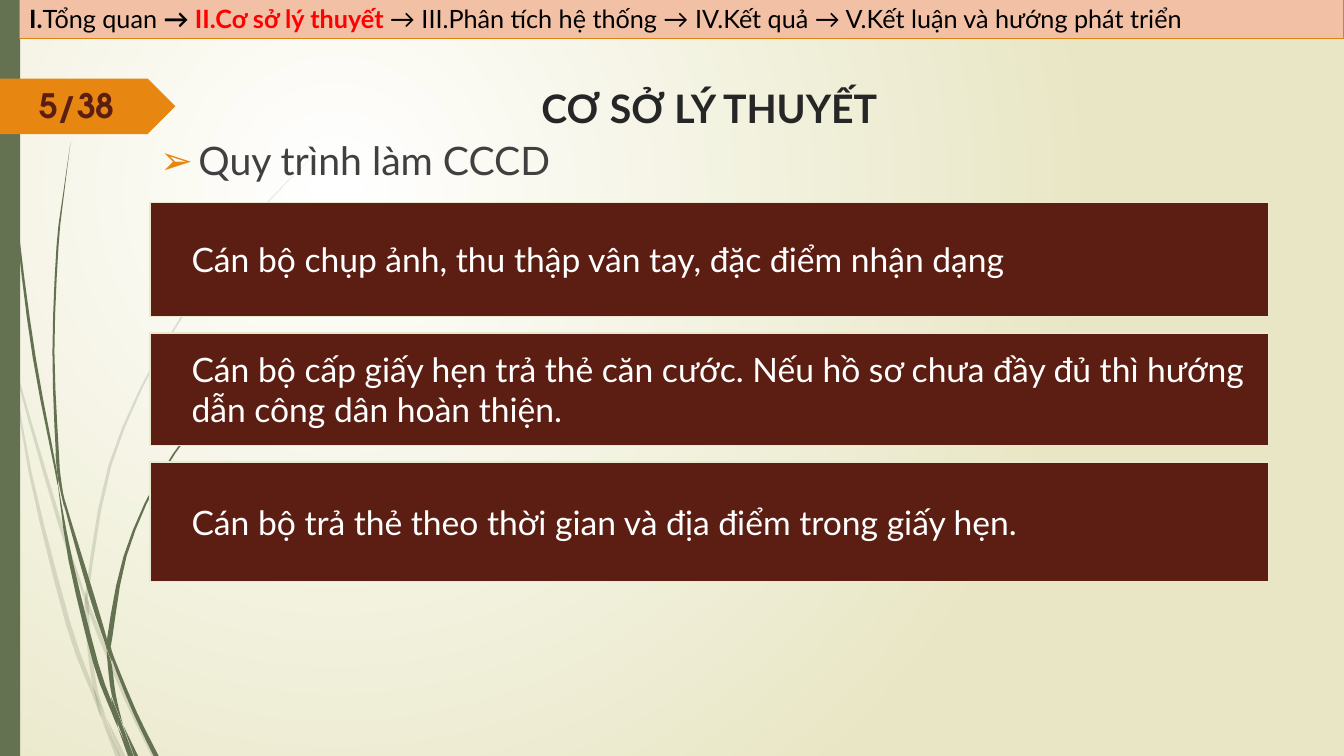
from lxml import etree
from pptx import Presentation
from pptx.dml.color import RGBColor
from pptx.enum.shapes import MSO_SHAPE
from pptx.enum.text import MSO_ANCHOR, PP_ALIGN
from pptx.oxml.ns import qn
from pptx.util import Inches, Pt

RECT, PENTAGON = MSO_SHAPE.RECTANGLE, MSO_SHAPE.PENTAGON
TOP, MIDDLE = MSO_ANCHOR.TOP, MSO_ANCHOR.MIDDLE
LEFT, CENTER, JUSTIFY = PP_ALIGN.LEFT, PP_ALIGN.CENTER, PP_ALIGN.JUSTIFY

WIDTH, HEIGHT = 13.33, 7.5
GREEN, ORANGE, BROWN = "647252", "E78712", "5C1E13"
BLACK, WHITE, RED = "000000", "FFFFFF", "FF0000"
BODY_FONT, NUMBER_FONT = "Lato", "TeX Gyre Adventor"

# Each run: text, colour, bold
BREADCRUMB = [
    ("I.", BLACK, True),
    ("Tổng quan ", BLACK, False),
    ("→ ", BLACK, True),
    ("II.Cơ sở lý thuyết ", RED, True),
    ("→ III.Phân tích hệ thống → IV.Kết quả → V.Kết luận và hướng phát triển",
     BLACK, False),
]
PAGE_NUMBER = [("5/38", BROWN, True)]
TITLE = [("CƠ SỞ LÝ THUYẾT", "262626", True)]
SUBTITLE = [("Quy trình làm CCCD", "404040", False)]

# Each step: text, top, height
STEPS = [
    ("Cán bộ chụp ảnh, thu thập vân tay, đặc điểm nhận dạng", 2.01, 1.13),
    ("Cán bộ cấp giấy hẹn trả thẻ căn cước. Nếu hồ sơ chưa đầy đủ thì hướng "
     "dẫn công dân hoàn thiện.", 3.3, 1.12),
    ("Cán bộ trả thẻ theo thời gian và địa điểm trong giấy hẹn.", 4.58, 1.19),
]
STEP_LEFT, STEP_WIDTH = 1.49, 11.09

# Each piece of grass: points of its middle line with its width there
PALE_GRASS = [
    [(0, 2.9, .04), (.09, 3.33, .02), (.11, 3.5, 0)],
    [(.14, 3.45, 0), (.18, 3.76, .02), (.6, 5.21, .04), (.84, 5.92, .02),
     (.84, 5.99, 0)],
    [(.88, 5.96, 0), (.9, 6.08, .04), (1.25, 6.93, .04), (1.53, 7.5, .05)],
    [(1.05, 7.11, 0), (1.22, 7.5, .05)],
    [(.11, 3.5, 0), (.3, 4.69, .03), (.68, 6.2, .05), (.93, 6.88, .04),
     (1.01, 7.14, 0)],
    [(.84, 5.99, 0), (.86, 6.08, .04), (.89, 6.46, .04), (.95, 6.85, .04),
     (1.05, 7.11, 0)],
    [(3.12, 1.53, 0), (2.68, 1.98, .01), (2.29, 2.45, .02), (1.59, 3.49, .02),
     (1.09, 4.62, .03), (.87, 5.84, .03), (.88, 5.96, 0)],
    [(1.01, 7.14, 0), (1.17, 7.5, .05)],
    [(.85, 5.86, 0), (.86, 5.98, .04), (.88, 6.1, 0)],
    [(.93, 6.83, 0), (1.01, 7.08, .04), (1.19, 7.5, .01)],
]
DARK_GRASS = [
    [(.03, 0, .01), (.07, 1.1, .01), (.18, 2.33, .02), (.34, 3.55, .03),
     (.55, 4.65, .02), (.57, 4.81, 0)],
    [(.6, 4.72, 0), (.63, 4.95, .02), (.91, 5.91, .05), (1.05, 6.36, .03),
     (1.06, 6.45, 0)],
    [(1.1, 6.41, 0), (1.12, 6.53, .03), (1.34, 7.07, .04), (1.55, 7.5, .05)],
    [(.57, 4.77, 0), (.7, 5.56, .04), (.95, 6.58, .05), (1.12, 7.05, .04),
     (1.17, 7.22, 0)],
    [(.7, 1.41, 0), (.63, 1.93, .01), (.57, 2.45, .02), (.53, 3.49, .02),
     (.57, 4.51, .03), (.6, 4.72, 0)],
    [(1.22, 7.19, 0), (1.35, 7.5, .04)],
    [(.55, 4.49, 0), (.59, 4.75, .03), (.64, 5.05, 0)],
    [(2.6, 3.44, 0), (2.31, 3.74, .01), (2.05, 4.06, .02), (1.57, 4.75, .02),
     (1.24, 5.52, .03), (1.09, 6.32, .05), (1.1, 6.41, 0)],
    [(1.17, 7.22, 0), (1.29, 7.5, .04)],
    [(1.06, 6.45, 0), (1.09, 6.6, .04), (1.13, 6.9, .04), (1.22, 7.19, 0)],
    [(1.06, 6.31, 0), (1.08, 6.43, .04), (1.11, 6.56, 0)],
    [(1.1, 6.91, 0), (1.17, 7.13, .04), (1.31, 7.5, .03)],
]


def rgb(value):
    return RGBColor.from_string(value)


def style(s, fill, line=None, line_width=1):
    s.shadow.inherit = False
    s.fill.solid()
    s.fill.fore_color.rgb = rgb(fill)
    if line:
        s.line.color.rgb = rgb(line)
        s.line.width = Pt(line_width)
    else:
        s.line.fill.background()


def write(s, runs, size, font=BODY_FONT, align=LEFT, anchor=TOP):
    tf = s.text_frame
    tf.word_wrap = True
    tf.vertical_anchor = anchor
    p = tf.paragraphs[0]
    p.alignment = align
    for text, color, bold in runs:
        r = p.add_run()
        r.text = text
        r.font.name, r.font.size, r.font.bold = font, Pt(size), bold
        r.font.color.rgb = rgb(color)
    return p


def add_box(kind, left, top, width, height, *look):
    s = shapes.add_shape(kind, *map(Inches, (left, top, width, height)))
    style(s, *look)
    return s


def add_text(left, top, width, height, *text, **options):
    s = shapes.add_textbox(*map(Inches, (left, top, width, height)))
    return write(s, *text, **options)


def smooth(points, steps=3):
    """Return points on a Catmull-Rom curve through the given points."""
    padded = [points[0], *points, points[-1]]
    curve = []
    for a, b, c, d in zip(padded, padded[1:], padded[2:], padded[3:]):
        for i in range(steps):
            t = i / steps
            curve.append([
                q + t / 2 * (r - p + t * (2 * p - 5 * q + 4 * r - s
                                          + t * (3 * (q - r) + s - p)))
                for p, q, r, s in zip(a, b, c, d)])
    return curve + [points[-1]]


def add_grass(points, opacity):
    curve = smooth(points)
    outline = [(x - w / 2, y) for x, y, w in curve]
    outline += [(x + w / 2, y) for x, y, w in reversed(curve)]
    outline = [(Inches(x), Inches(y)) for x, y in outline]
    builder = shapes.build_freeform(*outline[0])
    builder.add_line_segments(outline[1:], close=True)
    s = builder.convert_to_shape()
    style(s, GREEN)
    color = s.fill._xPr.find(qn("a:solidFill"))[0]
    etree.SubElement(color, qn("a:alpha"), val=str(opacity * 1000))


def add_bullet(p, char, color, indent):
    pPr = p._p.get_or_add_pPr()
    pPr.set("marL", str(Inches(indent)))
    pPr.set("indent", str(-Inches(indent)))
    bullet_color = etree.SubElement(pPr, qn("a:buClr"))
    etree.SubElement(bullet_color, qn("a:srgbClr"), val=color)
    etree.SubElement(pPr, qn("a:buFont"), typeface=BODY_FONT)
    etree.SubElement(pPr, qn("a:buChar"), char=char)


def paint_background(fill, inner, outer):
    """Fill with a circular gradient centred in the upper left."""
    fill.gradient()
    for stop, color in zip(fill.gradient_stops, (inner, outer)):
        stop.color.rgb = rgb(color)
    grad = slide.background._cSld.find(".//" + qn("a:gradFill"))
    grad.remove(grad.find(qn("a:lin")))
    circle = etree.SubElement(grad, qn("a:path"))
    circle.set("path", "circle")
    etree.SubElement(circle, qn("a:fillToRect"),
                     l="50000", t="50000", r="100000", b="100000")


prs = Presentation()
prs.slide_width, prs.slide_height = Inches(WIDTH), Inches(HEIGHT)
slide = prs.slides.add_slide(prs.slide_layouts[6])
shapes = slide.shapes
paint_background(slide.background.fill, WHITE, "E8E6C4")

for grass, opacity in ((PALE_GRASS, 20), (DARK_GRASS, 100)):
    for piece in grass:
        add_grass(piece, opacity)
add_box(RECT, 0, 0, 0.2, HEIGHT, GREEN)

add_box(PENTAGON, 0, 0.78, 1.74, 0.55, ORANGE)
add_text(0.29, 0.79, 1.2, 0.5, PAGE_NUMBER, 24, font=NUMBER_FONT)

p = add_text(STEP_LEFT, 1.3, STEP_WIDTH, 4.79, SUBTITLE, 28, align=JUSTIFY)
add_bullet(p, "➢", ORANGE, 0.38)
add_text(2.16, 0.79, 9.75, 0.88, TITLE, 28, align=CENTER)

header = add_box(RECT, 0.19, -0.02, 13.14, 0.4, "F1C0A5", "DD8111", 0.75)
write(header, BREADCRUMB, 18, anchor=MIDDLE)

for text, top, height in STEPS:
    s = add_box(RECT, STEP_LEFT, top, STEP_WIDTH, height, BROWN, "EAE8CF", 1.25)
    write(s, [(text, WHITE, False)], 24, anchor=MIDDLE)
    s.text_frame.margin_left = Inches(0.41)
    s.text_frame.margin_right = Inches(0.08)

prs.save("out.pptx")
